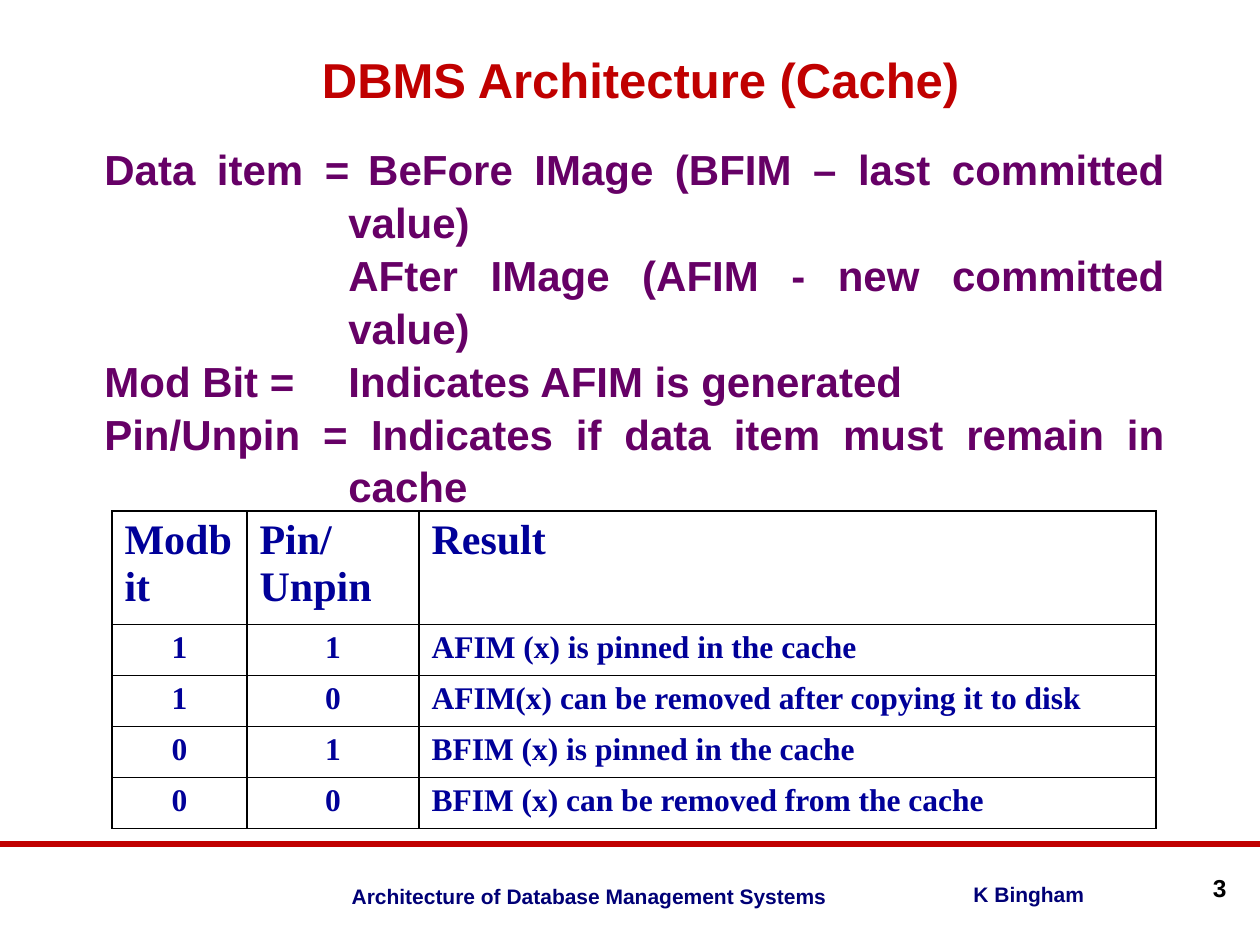
"""Build the DBMS cache architecture slide."""
from lxml import etree
from pptx import Presentation
from pptx import util as u
from pptx.dml.color import RGBColor
from pptx.enum import shapes, text
from pptx.oxml import ns

PX = 914400 / 126
RED = RGBColor(0xC0, 0x00, 0x00)
PURPLE = RGBColor(0x66, 0x00, 0x66)
NAVY = RGBColor(0x00, 0x00, 0x76)
BLUE = RGBColor(0x00, 0x00, 0x99)
BLACK = RGBColor(0x00, 0x00, 0x00)
ALIGN = text.PP_ALIGN

DEFINITIONS = [
    "Data item =\tBeFore IMage (BFIM – last committed value)",
    "\tAFter IMage (AFIM - new committed value)",
    "Mod Bit =\tIndicates AFIM is generated",
    "Pin/Unpin = \tIndicates if data item must remain in cache",
]
RULES = [
    ("Modbit", "Pin/Unpin", "Result"),
    ("1", "1", "AFIM (x) is pinned in the cache"),
    ("1", "0", "AFIM(x) can be removed after copying it to disk"),
    ("0", "1", "BFIM (x) is pinned in the cache"),
    ("0", "0", "BFIM (x) can be removed from the cache"),
]


def px(n):
    return u.Emu(round(n * PX))


def style(tf, size, color, align, font="Arial"):
    for p in tf.paragraphs:
        p.alignment = align
        for r in p.runs:
            r.font.name = font
            r.font.size = u.Pt(size)
            r.font.bold = True
            r.font.color.rgb = color


def add_text(s, box, words, size, color, align):
    tf = s.shapes.add_textbox(*map(px, box)).text_frame
    tf.word_wrap = True
    tf.text = words
    style(tf, size, color, align)
    return tf


def add_definitions(s):
    tf = add_text(s, (92, 135, 1085, 369), "\n".join(DEFINITIONS), 24, PURPLE, ALIGN.JUSTIFY)
    for p in tf.paragraphs:
        p.line_spacing = 1.05
        pPr = p._p.get_or_add_pPr()
        pPr.set("marL", str(px(244)))
        pPr.set("indent", str(-px(244)))


def add_rule(s, y):
    line = s.shapes.add_connector(shapes.MSO_CONNECTOR.STRAIGHT, 0, px(y), px(1260), px(y))
    line.line.color.rgb = RED
    line.line.width = u.Pt(3)
    etree.SubElement(line._element.spPr, ns.qn("a:effectLst"))


def add_borders(cell):
    tcPr = cell._tc.get_or_add_tcPr()
    for i, side in enumerate(("lnL", "lnR", "lnT", "lnB")):
        ln = etree.Element(ns.qn("a:" + side), w=str(u.Pt(1)))
        fill = etree.SubElement(ln, ns.qn("a:solidFill"))
        etree.SubElement(fill, ns.qn("a:srgbClr"), val=str(BLACK))
        tcPr.insert(i, ln)


def add_cache_table(s):
    widths, heights = (135, 172, 737), (113, 51, 51, 51, 51)
    box = (112, 511, sum(widths), sum(heights))
    table = s.shapes.add_table(len(heights), len(widths), *map(px, box)).table
    for col, w in zip(table.columns, widths):
        col.width = px(w)
    for i, (row, h) in enumerate(zip(table.rows, heights)):
        row.height = px(h)
        for j, cell in enumerate(row.cells):
            cell.text_frame.text = RULES[i][j]
            align = ALIGN.CENTER if i and j < 2 else ALIGN.LEFT
            style(cell.text_frame, 18 if i else 24, BLUE, align, "Times New Roman")
            cell.fill.background()
            add_borders(cell)


def main():
    prs = Presentation()
    prs.slide_width, prs.slide_height = px(1260), px(945)
    s = prs.slides.add_slide(prs.slide_layouts[6])
    add_text(s, (339, 877, 500, 34), "Architecture of Database Management Systems", 12, NAVY, ALIGN.RIGHT)
    add_rule(s, 844)
    add_text(s, (961, 875, 159, 34), "K Bingham", 12, NAVY, ALIGN.JUSTIFY)
    add_text(s, (1187, 867, 52, 34), "3", 14, BLACK, ALIGN.RIGHT)
    title = add_text(s, (21, 21, 1239, 115), "DBMS Architecture (Cache)", 28, RED, ALIGN.CENTER)
    title.vertical_anchor = text.MSO_ANCHOR.MIDDLE
    add_definitions(s)
    add_cache_table(s)
    prs.save("out.pptx")


if __name__ == "__main__":
    main()
